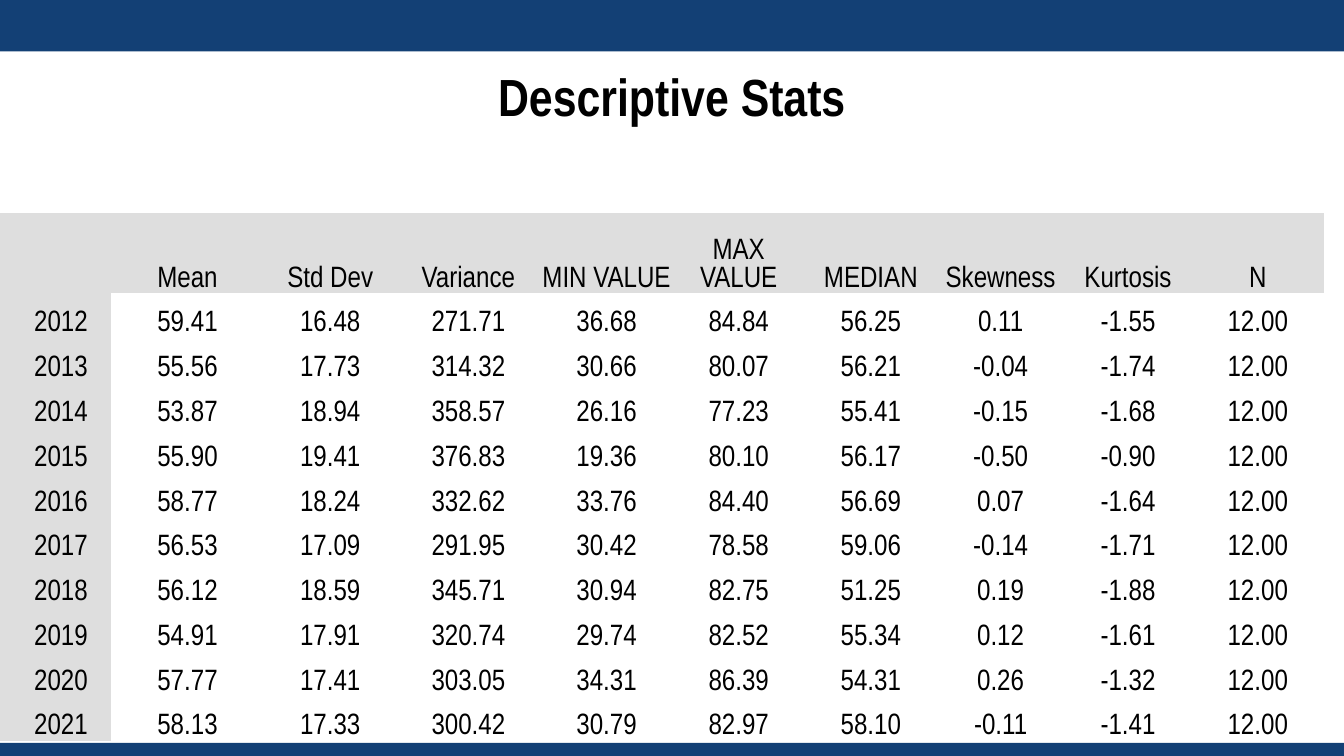
"""Build a slide with a table of yearly descriptive statistics."""
from dataclasses import dataclass

from pptx import Presentation
from pptx.dml.color import RGBColor
from pptx.enum.shapes import MSO_SHAPE
from pptx.enum.text import MSO_ANCHOR, PP_ALIGN
from pptx.util import Pt

TITLE = "Descriptive Stats"
HEADER = ("", "Mean", "Std Dev", "Variance", "MIN VALUE", "MAX VALUE",
          "MEDIAN", "Skewness", "Kurtosis", "N")
STATS = [
    ("2012", "59.41", "16.48", "271.71", "36.68", "84.84", "56.25", "0.11", "-1.55", "12.00"),
    ("2013", "55.56", "17.73", "314.32", "30.66", "80.07", "56.21", "-0.04", "-1.74", "12.00"),
    ("2014", "53.87", "18.94", "358.57", "26.16", "77.23", "55.41", "-0.15", "-1.68", "12.00"),
    ("2015", "55.90", "19.41", "376.83", "19.36", "80.10", "56.17", "-0.50", "-0.90", "12.00"),
    ("2016", "58.77", "18.24", "332.62", "33.76", "84.40", "56.69", "0.07", "-1.64", "12.00"),
    ("2017", "56.53", "17.09", "291.95", "30.42", "78.58", "59.06", "-0.14", "-1.71", "12.00"),
    ("2018", "56.12", "18.59", "345.71", "30.94", "82.75", "51.25", "0.19", "-1.88", "12.00"),
    ("2019", "54.91", "17.91", "320.74", "29.74", "82.52", "55.34", "0.12", "-1.61", "12.00"),
    ("2020", "57.77", "17.41", "303.05", "34.31", "86.39", "54.31", "0.26", "-1.32", "12.00"),
    ("2021", "58.13", "17.33", "300.42", "30.79", "82.97", "58.10", "-0.11", "-1.41", "12.00"),
]

SLIDE_W, SLIDE_H = 960, 540
TOP_BAR_H, BOTTOM_BAR_H = 36.7, 9.4
TITLE_BOX = (48, 43.2, 864, 50.4)
TITLE_INSET = 7.2
TABLE_TOP = 152
COL_WIDTHS = (79.2, 109.5, 94.4, 103, 94.4, 94.4, 94.4, 91, 91, 94.4)
HEADER_H, ROW_H = 57.6, 32
CELL_INSET, YEAR_INSET = 0.7, 8.6


@dataclass(frozen=True)
class Theme:
    font: str = "Arial Narrow"
    bar: RGBColor = RGBColor(0x13, 0x40, 0x75)
    label: RGBColor = RGBColor(0xDE, 0xDE, 0xDE)
    text: RGBColor = RGBColor(0, 0, 0)
    title_size: float = 37.3
    cell_size: float = 21


THEME = Theme()


def add_bar(s, top, height):
    sp = s.shapes.add_shape(MSO_SHAPE.RECTANGLE, 0, Pt(top), Pt(SLIDE_W), Pt(height))
    sp.shadow.inherit = False
    sp.fill.solid()
    sp.fill.fore_color.rgb = THEME.bar
    sp.line.fill.background()


def write(tf, text, size, bold=False):
    p = tf.paragraphs[0]
    p.text = text
    p.alignment = PP_ALIGN.CENTER
    for font in (p.font, *(r.font for r in p.runs)):
        font.name = THEME.font
        font.size = Pt(size)
        font.bold = bold
        font.color.rgb = THEME.text


def add_title(s):
    tf = s.shapes.add_textbox(*map(Pt, TITLE_BOX)).text_frame
    tf.word_wrap = True
    tf.vertical_anchor = MSO_ANCHOR.MIDDLE
    tf.margin_left = tf.margin_right = Pt(TITLE_INSET)
    tf.margin_top = tf.margin_bottom = Pt(TITLE_INSET)
    write(tf, TITLE, THEME.title_size, bold=True)


def fill_cell(cell, text, is_header, is_year):
    cell.margin_left = Pt(YEAR_INSET if is_year and not is_header else CELL_INSET)
    cell.margin_right = cell.margin_top = Pt(CELL_INSET)
    cell.margin_bottom = 0
    cell.vertical_anchor = MSO_ANCHOR.BOTTOM
    if is_header or is_year:
        cell.fill.solid()
        cell.fill.fore_color.rgb = THEME.label
    else:
        cell.fill.background()
    write(cell.text_frame, text, THEME.cell_size)


def add_stats_table(s):
    rows = [HEADER, *STATS]
    heights = [HEADER_H] + [ROW_H] * len(STATS)
    table = s.shapes.add_table(len(rows), len(HEADER), 0, Pt(TABLE_TOP),
                               Pt(sum(COL_WIDTHS)), Pt(sum(heights))).table
    table.first_row = table.horz_banding = False
    for col, width in zip(table.columns, COL_WIDTHS):
        col.width = Pt(width)
    for i, (row, height) in enumerate(zip(rows, heights)):
        table.rows[i].height = Pt(height)
        for j, text in enumerate(row):
            fill_cell(table.cell(i, j), text, i == 0, j == 0)
    style = table._tbl.tblPr.find("{*}tableStyleId")
    style.text = "{2D5ABB26-0587-4C30-8999-92F81FD0307C}"


def main():
    prs = Presentation()
    prs.slide_width, prs.slide_height = Pt(SLIDE_W), Pt(SLIDE_H)
    s = prs.slides.add_slide(prs.slide_layouts[6])
    add_bar(s, SLIDE_H - BOTTOM_BAR_H, BOTTOM_BAR_H)
    add_bar(s, 0, TOP_BAR_H)
    add_title(s)
    add_stats_table(s)
    prs.save("out.pptx")


if __name__ == "__main__":
    main()
